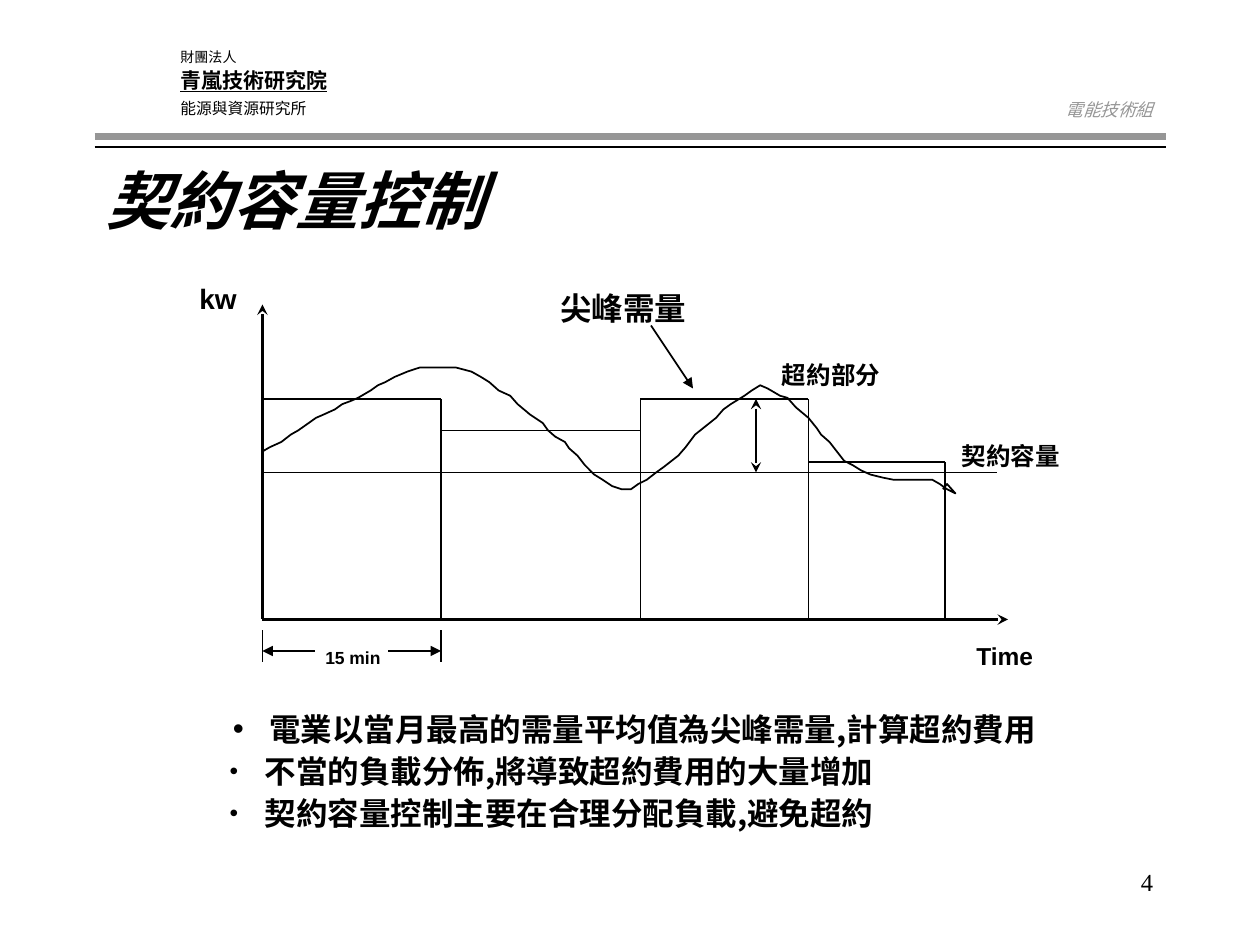
from lxml import etree
from pptx import Presentation
from pptx.dml.color import RGBColor
from pptx.enum.shapes import MSO_CONNECTOR
from pptx.enum.text import MSO_ANCHOR, PP_ALIGN
from pptx.oxml.ns import qn
from pptx.util import Pt

STRAIGHT = MSO_CONNECTOR.STRAIGHT
LEFT, RIGHT = PP_ALIGN.LEFT, PP_ALIGN.RIGHT
TOP, MIDDLE = MSO_ANCHOR.TOP, MSO_ANCHOR.MIDDLE

PX = 7620  # 120 px to the inch
COLORS = {"ink": "000000", "grey": "969696"}
CJK, SANS, SERIF = "Noto Sans CJK SC", "Arial", "Times New Roman"

prs = Presentation()
prs.slide_width, prs.slide_height = 1200 * PX, 900 * PX
slide = prs.slides.add_slide(prs.slide_layouts[6])
shapes = slide.shapes


def add_text(text, x, y, w, h, size=14, font=CJK, color="ink", bold=False,
             italic=False, underline=None, align=LEFT, anchor=TOP, wrap=True,
             bullet_size=None):
    frame = shapes.add_textbox(x * PX, y * PX, w * PX, h * PX).text_frame
    frame.word_wrap = wrap
    frame.vertical_anchor = anchor
    paragraph = frame.paragraphs[0]
    paragraph.alignment = align
    parts = [(text, size, font)]
    if bullet_size:
        # The leading space sets the size of the bullet
        parts.insert(0, (" ", bullet_size, SANS))
        props = paragraph._p.get_or_add_pPr()
        props.set("marL", str(28 * PX))
        props.set("indent", str(-28 * PX))
        etree.SubElement(props, qn("a:buFont")).set("typeface", SANS)
        etree.SubElement(props, qn("a:buChar")).set("char", "•")
    for part, part_size, part_font in parts:
        run = paragraph.add_run()
        run.text = part
        run.font.size = Pt(part_size)
        run.font.name = part_font
        run.font.bold, run.font.italic = bold, italic
        run.font.underline = underline
        run.font.color.rgb = RGBColor.from_string(COLORS[color])
        etree.SubElement(run._r.rPr, qn("a:ea")).set("typeface", CJK)


def add_line(x1, y1, x2, y2, width=1, color="ink", head=None, tail=None):
    line = shapes.add_connector(STRAIGHT, x1 * PX, y1 * PX, x2 * PX, y2 * PX)
    line.line.width = Pt(width)
    line.line.color.rgb = RGBColor.from_string(COLORS[color])
    outline = line.line._get_or_add_ln()
    for tag, arrow in (("a:headEnd", head), ("a:tailEnd", tail)):
        if arrow:
            etree.SubElement(outline, qn(tag)).set("type", arrow)
    etree.SubElement(line._element.spPr, qn("a:effectLst"))


# Header
add_line(90, 130, 1110, 130, width=4.5, color="grey")
add_line(90, 140, 1110, 140, width=0.75)
add_text("財團法人", 160, 40, 100, 29, size=8, font=SERIF)
add_text("青嵐技術研究院", 160, 58, 250, 36, size=12, font=SERIF, bold=True,
         underline=True)
add_text("能源與資源研究所", 160, 88, 170, 30, size=9, font=SERIF)
add_text("電能技術組", 990, 88, 120, 32, size=10, font=SERIF, color="grey",
         italic=True, align=RIGHT)
add_text("契約容量控制", 90, 140, 1020, 100, size=36, bold=True, italic=True,
         anchor=MIDDLE)

# Axes
base = 590
add_line(250, 290, 250, base, width=2, head="stealth")
add_line(250, base, 960, base, width=2, tail="stealth")

# Load curve, ending in a small open arrow
curve_points = [
    (250, 430), (257, 426), (268, 421), (277, 414), (284, 410), (294, 403),
    (301, 398), (308, 395), (319, 390), (326, 385), (334, 382), (341, 379),
    (353, 372), (360, 367), (367, 364), (376, 359), (388, 354), (400, 350),
    (434, 350), (449, 354), (458, 359), (466, 364), (475, 372), (486, 377),
    (493, 385), (505, 395), (517, 403), (522, 410), (529, 416), (538, 421),
    (542, 427), (550, 434), (557, 443), (566, 452), (574, 457), (583, 463),
    (592, 466), (601, 466), (608, 461), (616, 457), (625, 450), (632, 445),
    (646, 434), (653, 426), (662, 414), (672, 406), (682, 398), (689, 390),
    (696, 385), (709, 377), (716, 372), (724, 367), (731, 370), (743, 377),
    (750, 379), (758, 388), (770, 398), (778, 408), (782, 414), (790, 421),
    (797, 430), (804, 439), (812, 443), (820, 448), (829, 452), (841, 455),
    (851, 457), (888, 457), (895, 461), (902, 466), (910, 470), (902, 461),
    (898, 466),
]
builder = shapes.build_freeform(*curve_points[0], scale=PX)
builder.add_line_segments(curve_points[1:], close=False)
load_curve = builder.convert_to_shape()
load_curve.shadow.inherit = False
load_curve.fill.background()
load_curve.line.width = Pt(1)
load_curve.line.color.rgb = RGBColor.from_string(COLORS["ink"])

# Average demand of each interval: a top and a right side
for start, end, top in ((250, 420, 380), (420, 610, 410),
                        (610, 770, 380), (770, 900, 440)):
    add_line(start, top, end, top)
    add_line(end, top, end, base)
add_line(610, 380, 610, 450)

# Contract capacity and the excess over it
add_line(250, 450, 950, 450)
add_line(720, 380, 720, 450, head="stealth", tail="stealth")

# Interval length
for edge in (250, 420):
    add_line(edge, 600, edge, 630)
add_line(250, 620, 300, 620, head="triangle")
add_line(370, 620, 420, 620, tail="triangle")

# Chart labels
add_line(620, 310, 660, 370, tail="triangle")
for label, x, y, w, h, size, font in (
        ("kw", 178, 262, 60, 44, 16, SANS),
        ("Time", 918, 605, 79, 40, 14, SANS),
        ("15 min", 298, 610, 77, 32, 10, SANS),
        ("尖峰需量", 522, 269, 144, 48, 18, CJK),
        ("契約容量", 904, 414, 118, 40, 14, CJK),
        ("超約部分", 733, 337, 118, 40, 14, CJK)):
    add_text(label, x, y, w, h, size=size, font=font, bold=True, wrap=False)

# Key points
for point, x, y, w, bullet_size in (
        ("電業以當月最高的需量平均值為尖峰需量,計算超約費用", 210, 670, 877, 18),
        ("不當的負載分佈,將導致超約費用的大量增加", 207, 710, 778, 14),
        ("契約容量控制主要在合理分配負載,避免超約", 207, 750, 768, 14)):
    add_text(point, x, y, w, 48, size=18, bold=True, bullet_size=bullet_size)

# Page number
add_text("4", 860, 820, 250, 60, font=SERIF, align=RIGHT)

prs.save("out.pptx")
